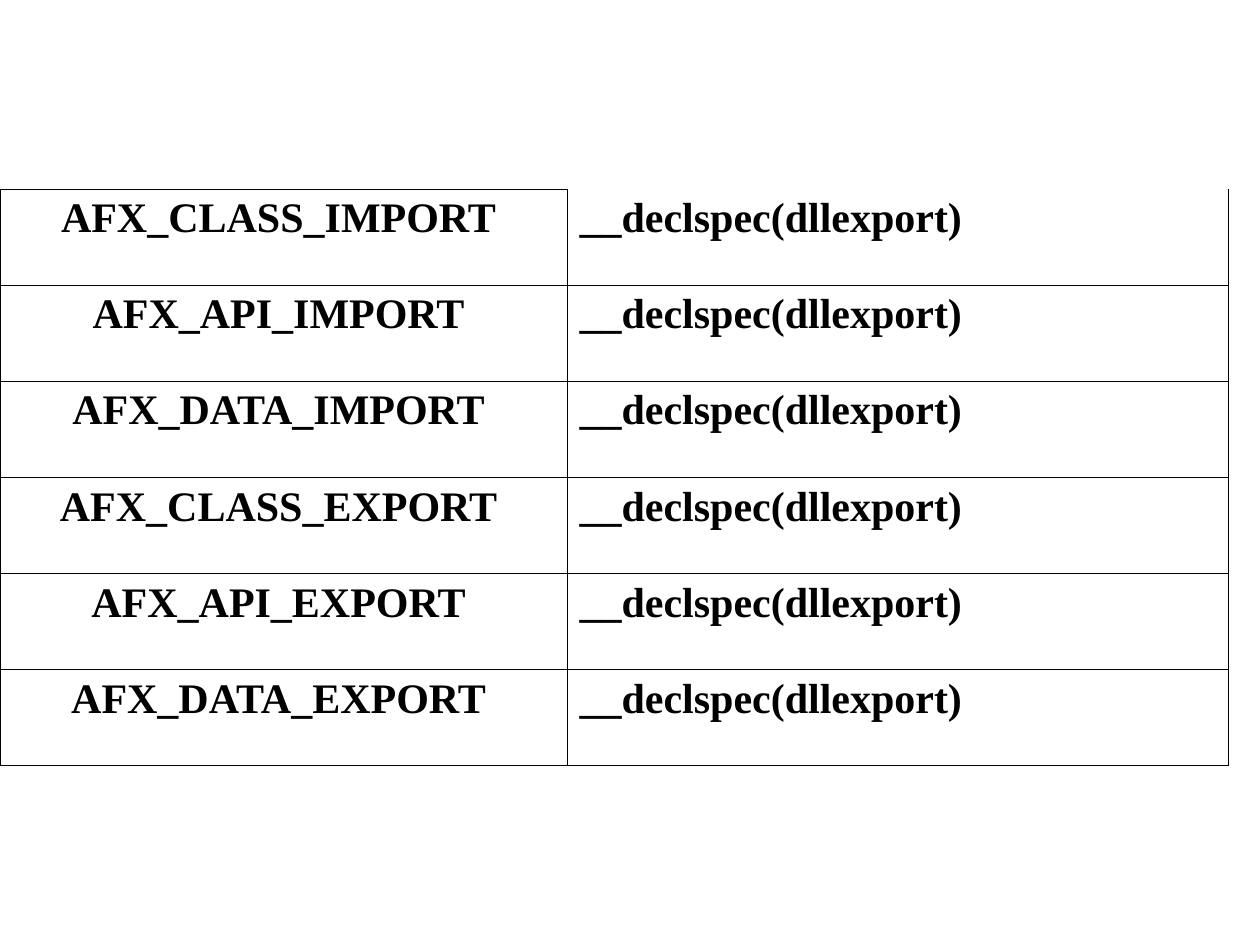
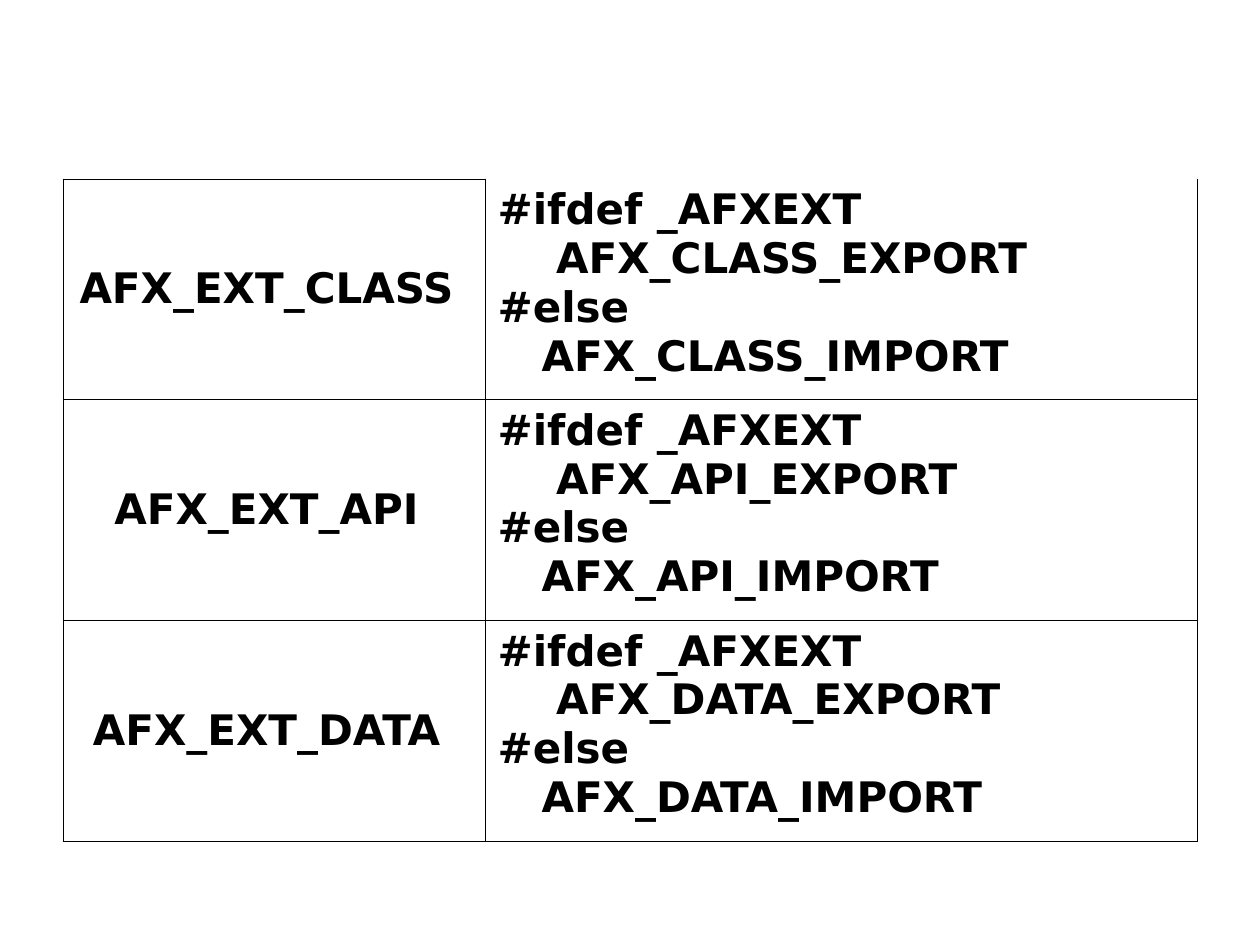
"""Build two slides of tables that list the AFX export and import macros."""
from dataclasses import dataclass

from lxml.etree import SubElement
from pptx import Presentation
from pptx.dml.color import RGBColor
from pptx.enum.text import MSO_ANCHOR as Anchor, PP_ALIGN as Align
from pptx.oxml.ns import qn
from pptx.slide import Slide
from pptx.table import _Cell as Cell
from pptx.util import Emu, Pt

PX = 9144
COLORS = {"ink": "000000"}
TEXT_SIZE = Pt(24)
BORDER_WIDTH = Pt(0.45)
BLANK_LAYOUT = 6


@dataclass(frozen=True)
class MacroTable:
    left: int
    top: int
    height: int
    name_width: int
    code_width: int
    name_right_inset: int
    name_anchor: Anchor
    font: str
    rows: list[tuple[str, str]]


def px(length: float) -> Emu:
    return Emu(round(length * PX))


def extension_code(kind: str) -> str:
    return f"#ifdef _AFXEXT\n    AFX_{kind}_EXPORT\n#else\n   AFX_{kind}_IMPORT"


KINDS = ("CLASS", "API", "DATA")

TABLES = [
    MacroTable(
        left=0, top=150, height=458, name_width=450, code_width=525,
        name_right_inset=18, name_anchor=Anchor.TOP, font="Times New Roman",
        rows=[(f"AFX_{kind}_{direction}", "__declspec(dllexport)")
              for direction in ("IMPORT", "EXPORT") for kind in KINDS],
    ),
    MacroTable(
        left=50, top=142, height=526, name_width=335, code_width=565,
        name_right_inset=22, name_anchor=Anchor.MIDDLE, font="DejaVu Sans",
        rows=[(f"AFX_EXT_{kind}", extension_code(kind)) for kind in KINDS],
    ),
]


def set_borders(cell: Cell, open_top: bool) -> None:
    properties = cell._tc.get_or_add_tcPr()
    for side in "LRTB":
        line = SubElement(properties, qn(f"a:ln{side}"), w=str(BORDER_WIDTH))
        if side == "T" and open_top:
            SubElement(line, qn("a:noFill"))
        else:
            fill = SubElement(line, qn("a:solidFill"))
            SubElement(fill, qn("a:srgbClr"), val=COLORS["ink"])


def fill_cell(cell: Cell, text: str, font: str, align: Align, open_top: bool) -> None:
    cell.text = text
    for paragraph in cell.text_frame.paragraphs:
        paragraph.alignment = align
        paragraph.font.name = font
        paragraph.font.size = TEXT_SIZE
        paragraph.font.bold = True
        paragraph.font.color.rgb = RGBColor.from_string(COLORS["ink"])
    set_borders(cell, open_top)
    cell.fill.background()


def draw_table(page: Slide, macros: MacroTable) -> None:
    widths = (macros.name_width, macros.code_width)
    table = page.shapes.add_table(
        len(macros.rows), len(widths), px(macros.left), px(macros.top),
        px(sum(widths)), px(macros.height)).table
    table.first_row = False
    table.horz_banding = False
    for column, width in zip(table.columns, widths):
        column.width = px(width)
    for index, (name, code) in enumerate(macros.rows):
        table.rows[index].height = px(macros.height / len(macros.rows))
        name_cell, code_cell = table.rows[index].cells
        fill_cell(name_cell, name, macros.font, Align.CENTER, open_top=False)
        name_cell.margin_right = px(macros.name_right_inset)
        name_cell.vertical_anchor = macros.name_anchor
        fill_cell(code_cell, code, macros.font, Align.LEFT, open_top=index == 0)


def main() -> None:
    deck = Presentation()
    deck.slide_width, deck.slide_height = px(1000), px(750)
    for macros in TABLES:
        page = deck.slides.add_slide(deck.slide_layouts[BLANK_LAYOUT])
        draw_table(page, macros)
    deck.save("out.pptx")


if __name__ == "__main__":
    main()
